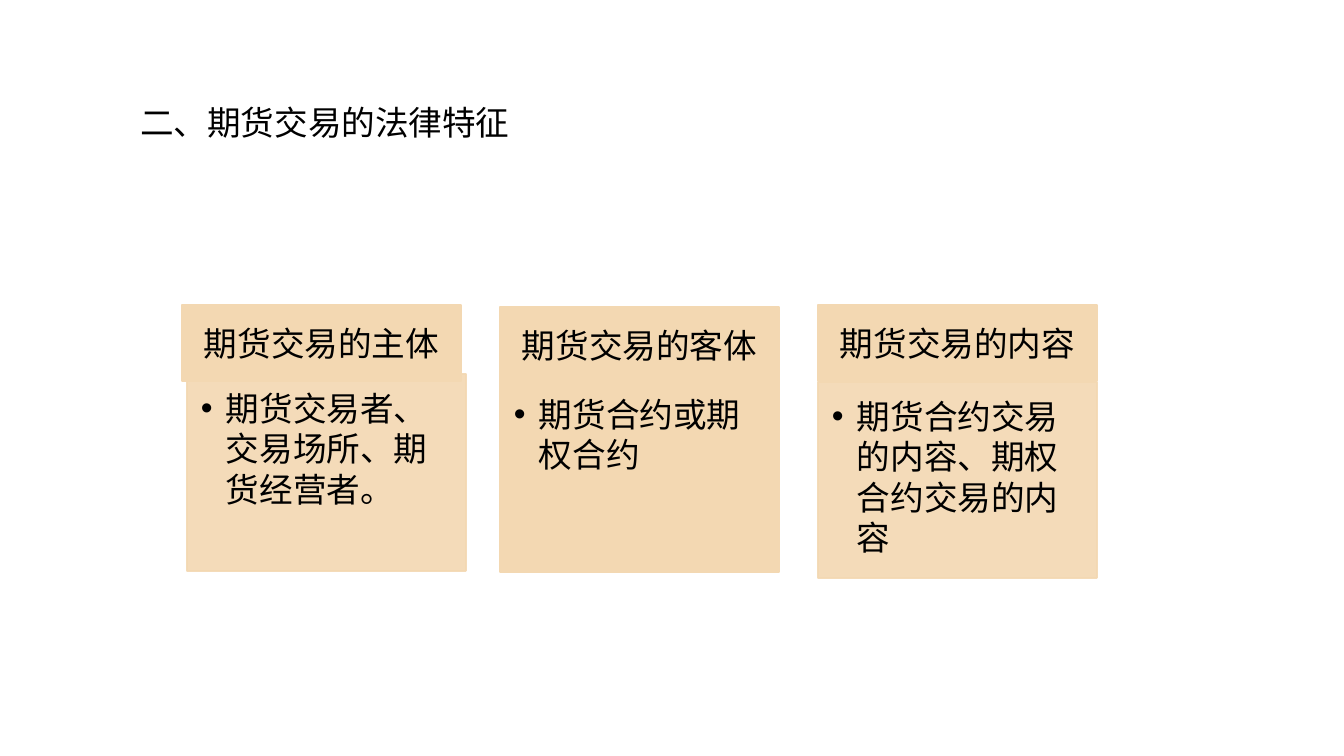
import lxml.etree
import pptx
import pptx.dml.color
import pptx.enum.shapes
import pptx.enum.text
import pptx.oxml.ns
import pptx.util

COLOURS = {"text": "000000", "panel": "F3D8B2"}
EMU_PER_PIXEL = 914400 / 100.8
ALIGN = pptx.enum.text.PP_ALIGN
ANCHOR = pptx.enum.text.MSO_ANCHOR


def px(length):
    return pptx.util.Emu(round(length * EMU_PER_PIXEL))


def add_xml(parent, tag, **attributes):
    return lxml.etree.SubElement(parent, pptx.oxml.ns.qn(tag), attributes)


class SlideBuilder:
    typeface = "Noto Sans CJK SC"
    size = pptx.util.Pt(24)
    line_pitch = pptx.util.Pt(28.8)

    def __init__(self, slide):
        self.slide = slide

    def colour(self, name):
        return pptx.dml.color.RGBColor.from_string(COLOURS[name])

    def set_text(self, shape, wording, anchor, insets, align=ALIGN.LEFT, bullet=False):
        frame = shape.text_frame
        frame.word_wrap = True
        frame.auto_size = pptx.enum.text.MSO_AUTO_SIZE.NONE
        frame.vertical_anchor = anchor
        frame.margin_left, frame.margin_top, frame.margin_right, frame.margin_bottom = map(px, insets)
        frame.text = wording
        paragraph = frame.paragraphs[0]
        paragraph.alignment = align
        paragraph.line_spacing = self.line_pitch
        if bullet:
            properties = paragraph._p.get_or_add_pPr()
            properties.set("marL", str(px(25)))
            properties.set("indent", str(-px(25)))
            add_xml(properties, "a:buFont", typeface="Arial")
            add_xml(properties, "a:buChar", char="•")
        font = paragraph.font
        font.size = self.size
        font.bold = False
        font.color.rgb = self.colour("text")
        font.name = self.typeface
        add_xml(font._element, "a:ea", typeface=self.typeface)

    def title(self, wording, left, top, width, height):
        title = self.slide.shapes.title
        title.left, title.top, title.width, title.height = map(px, (left, top, width, height))
        self.set_text(title, wording, ANCHOR.MIDDLE, (10, 5, 10, 5))

    def panel(self, left, top, width, height, opacity=100):
        panel = self.slide.shapes.add_shape(
            pptx.enum.shapes.MSO_SHAPE.RECTANGLE, *map(px, (left, top, width, height)))
        panel.shadow.inherit = False
        panel.line.width = pptx.util.Pt(1.25)
        for paint in (panel.fill, panel.line.fill):
            paint.solid()
            paint.fore_color.rgb = self.colour("panel")
        if opacity < 100:
            for rgb in panel._element.spPr.iter(pptx.oxml.ns.qn("a:srgbClr")):
                add_xml(rgb, "a:alpha", val=str(opacity * 1000))
        return panel

    def heading(self, wording, *box):
        self.set_text(self.panel(*box), wording, ANCHOR.MIDDLE, (19, 11, 19, 11), ALIGN.CENTER)

    def detail(self, wording, *box, opacity):
        self.set_text(self.panel(*box, opacity=opacity), wording, ANCHOR.TOP, (14, 14, 19, 21), bullet=True)


deck = pptx.Presentation()
deck.slide_width, deck.slide_height = px(1344), px(756)
builder = SlideBuilder(deck.slides.add_slide(deck.slide_layouts[5]))
builder.title("二、期货交易的法律特征", 130, 76, 512, 92)

FIRST_LEFT, COLUMN_STEP, COLUMN_WIDTH, HEADING_HEIGHT = 182, 318, 279, 76
features = [
    ("期货交易的主体", 305, "期货交易者、交易场所、期货经营者。", 5, 374, 197, 90),
    ("期货交易的客体", 307, "期货合约或期权合约", 0, 380, 192, 100),
    ("期货交易的内容", 305, "期货合约交易的内容、期权合约交易的内容", 0, 382, 196, 90),
]
for column, (aspect, heading_top, content, shift, detail_top, detail_height, opacity) in enumerate(features):
    left = FIRST_LEFT + column * COLUMN_STEP
    builder.heading(aspect, left, heading_top, COLUMN_WIDTH, HEADING_HEIGHT)
    builder.detail(content, left + shift, detail_top, COLUMN_WIDTH, detail_height, opacity=opacity)

deck.save("out.pptx")
